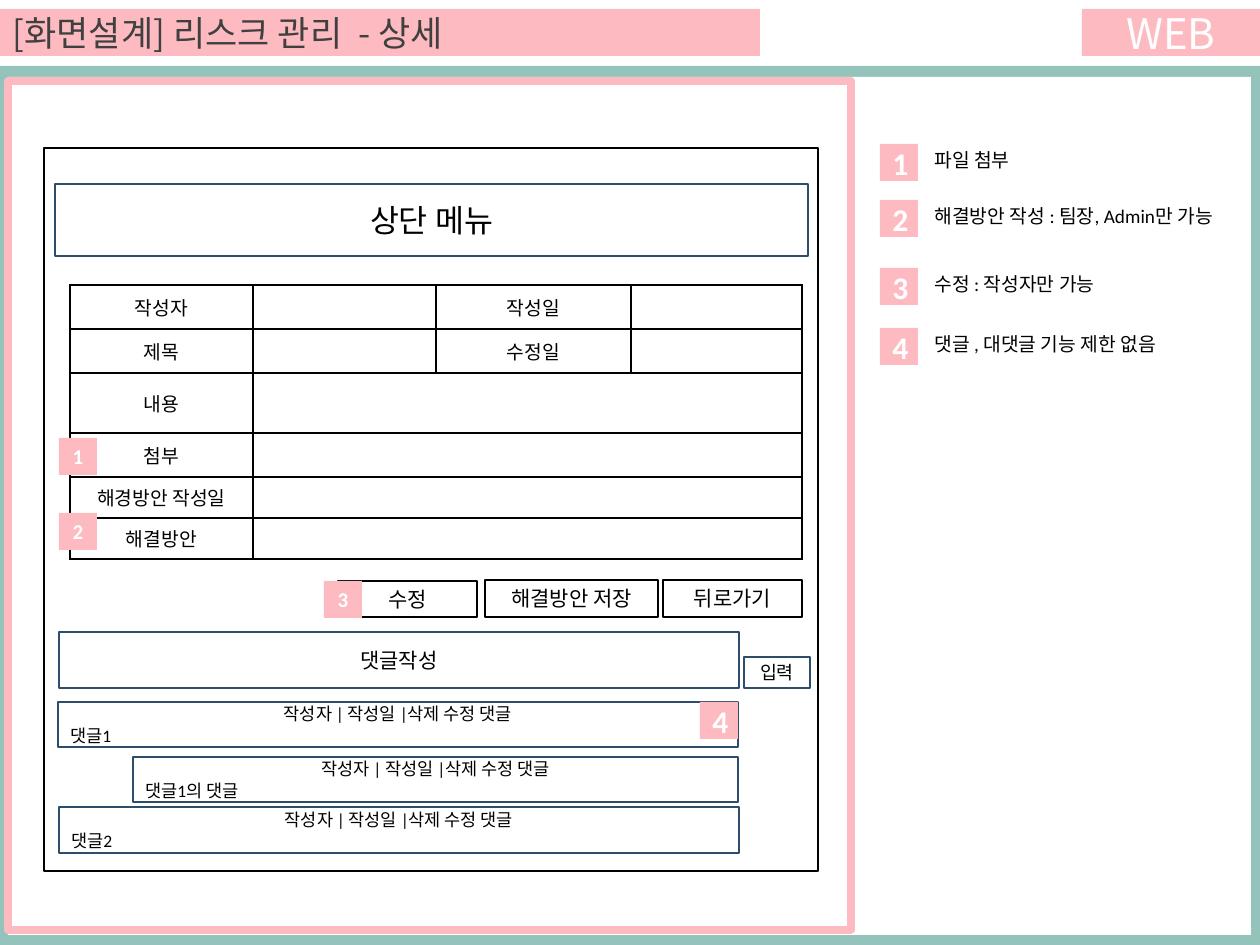
from dataclasses import dataclass
from typing import Optional

from lxml.etree import SubElement
from pptx import Presentation
from pptx.dml.color import RGBColor
from pptx.enum.shapes import MSO_SHAPE as Shape
from pptx.enum.text import MSO_ANCHOR as Anchor, MSO_AUTO_SIZE as AutoSize, PP_ALIGN as Align
from pptx.oxml.ns import qn
from pptx.util import Emu, Pt

PX = 914400 / 126
TEAL = RGBColor(0x94, 0xC3, 0xBB)
PINK = RGBColor(0xFD, 0xBB, 0xC1)
NAVY = RGBColor(0x2D, 0x4D, 0x6A)
GRAY = RGBColor(0x40, 0x40, 0x40)
BLACK = RGBColor(0, 0, 0)
WHITE = RGBColor(0xFF, 0xFF, 0xFF)
BODY_FONT = "Calibri"
HEADER_FONT = "Noto Sans CJK KR"
BADGE_WIDTH, BADGE_HEIGHT = 38, 37


@dataclass(frozen=True)
class Area:
    left: int
    top: int
    width: int
    height: int

    def emu(self) -> list[Emu]:
        return [px(n) for n in (self.left, self.top, self.width, self.height)]


@dataclass(frozen=True)
class Field:
    """A wireframe box with centred text."""
    label: str
    area: Area
    size: float
    line: RGBColor


@dataclass(frozen=True)
class Comment:
    author: str
    area: Area


@dataclass(frozen=True)
class Badge:
    number: int
    left: int
    top: int
    size: int = 12


@dataclass(frozen=True)
class Note:
    badge: Badge
    text: str
    top: int
    width: int = 314


FIELDS = [
    Field("상단 메뉴", Area(55, 184, 753, 72), 18, NAVY),
    Field("수정", Area(338, 581, 139, 36), 12, BLACK),
    Field("해결방안 저장", Area(485, 580, 173, 37), 12, BLACK),
    Field("뒤로가기", Area(663, 580, 139, 37), 12, BLACK),
    Field("댓글작성", Area(59, 632, 680, 56), 12, NAVY),
    Field("입력", Area(744, 657, 66, 31), 10.5, NAVY),
]
COMMENT_HEADER = "작성자 | 작성일 |삭제 수정 댓글"
COMMENTS = [
    Comment("댓글1", Area(58, 702, 680, 45)),
    Comment("댓글1의 댓글", Area(133, 757, 605, 45)),
    Comment("댓글2", Area(59, 807, 680, 46)),
]
BADGES = [Badge(1, 59, 438), Badge(2, 59, 513), Badge(3, 324, 581), Badge(4, 700, 702, 18)]
NOTES = [
    Note(Badge(1, 880, 144, 18), "파일 첨부", 142),
    Note(Badge(2, 880, 200, 18), "해결방안 작성 : 팀장, Admin만 가능", 198, 338),
    Note(Badge(3, 880, 268, 18), "수정 : 작성자만 가능", 266),
    Note(Badge(4, 880, 328, 18), "댓글 , 대댓글 기능 제한 없음", 326),
]
DETAIL_AREA = Area(70, 285, 732, 274)
DETAIL_COLUMNS = [183, 183, 195, 171]
DETAIL_ROW_HEIGHTS = [44, 44, 60, 44, 41, 41]
DETAIL_ROWS = [
    ("작성자", "", "작성일", ""),
    ("제목", "", "수정일", ""),
    ("내용",),
    ("첨부",),
    ("해경방안 작성일",),
    ("해결방안",),
]


def px(length: int) -> Emu:
    return Emu(round(length * PX))


def write(paragraph, text: str, *, size: float, color: RGBColor = BLACK, bold: bool = False,
          font: str = BODY_FONT, align: Align = Align.CENTER) -> None:
    paragraph.alignment = align
    run = paragraph.add_run()
    run.text = text
    run.font.name, run.font.size, run.font.bold = font, Pt(size), bold
    run.font.color.rgb = color


def add_box(slide, area: Area, fill: Optional[RGBColor] = WHITE,
            line: Optional[RGBColor] = None, line_width: float = 1):
    box = slide.shapes.add_shape(Shape.RECTANGLE, *area.emu())
    box.shadow.inherit = False
    if fill is None:
        box.fill.background()
    else:
        box.fill.solid()
        box.fill.fore_color.rgb = fill
    if line is None:
        box.line.fill.background()
    else:
        box.line.color.rgb = line
        box.line.width = Pt(line_width)
    box.text_frame.vertical_anchor = Anchor.MIDDLE
    return box


def add_badge(slide, badge: Badge) -> None:
    box = add_box(slide, Area(badge.left, badge.top, BADGE_WIDTH, BADGE_HEIGHT), PINK)
    write(box.text_frame.paragraphs[0], str(badge.number),
          size=badge.size, color=WHITE, bold=True)


def add_field(slide, field: Field) -> None:
    box = add_box(slide, field.area, line=field.line)
    write(box.text_frame.paragraphs[0], field.label, size=field.size)


def add_comment(slide, comment: Comment) -> None:
    frame = add_box(slide, comment.area, line=NAVY).text_frame
    write(frame.paragraphs[0], COMMENT_HEADER, size=10)
    write(frame.add_paragraph(), comment.author, size=10, align=Align.LEFT)


def add_note(slide, note: Note) -> None:
    add_badge(slide, note.badge)
    frame = slide.shapes.add_textbox(*Area(922, note.top, note.width, 36).emu()).text_frame
    frame.word_wrap = True
    frame.auto_size = AutoSize.SHAPE_TO_FIT_TEXT
    write(frame.paragraphs[0], note.text, size=11, align=Align.LEFT)


def format_cell(cell) -> None:
    properties = cell._tc.get_or_add_tcPr()
    for side in ("lnL", "lnR", "lnT", "lnB"):
        border = SubElement(properties, qn(f"a:{side}"), w=str(Pt(1)))
        SubElement(SubElement(border, qn("a:solidFill")), qn("a:srgbClr"), val=str(BLACK))
    cell.fill.solid()
    cell.fill.fore_color.rgb = WHITE
    cell.vertical_anchor = Anchor.MIDDLE


def add_detail_table(slide) -> None:
    table = slide.shapes.add_table(
        len(DETAIL_ROWS), len(DETAIL_COLUMNS), *DETAIL_AREA.emu()).table
    for column, width in zip(table.columns, DETAIL_COLUMNS):
        column.width = px(width)
    for index, (labels, height) in enumerate(zip(DETAIL_ROWS, DETAIL_ROW_HEIGHTS)):
        table.rows[index].height = px(height)
        for position, cell in enumerate(table.rows[index].cells):
            format_cell(cell)
            label = labels[position] if position < len(labels) else ""
            paragraph = cell.text_frame.paragraphs[0]
            if label:
                write(paragraph, label, size=11)
            else:  # keeps an empty cell from stretching its row
                SubElement(paragraph._p, qn("a:endParaRPr"), sz="1100")
        if len(labels) == 1:
            table.cell(index, 1).merge(table.cell(index, len(DETAIL_COLUMNS) - 1))


def add_header(slide) -> None:
    title = slide.shapes.title
    title.left, title.top, title.width, title.height = Area(0, 9, 760, 47).emu()
    title.fill.solid()
    title.fill.fore_color.rgb = PINK
    title.text_frame.vertical_anchor = Anchor.MIDDLE
    title.text_frame.auto_size = AutoSize.NONE
    write(title.text_frame.paragraphs[0], "[화면설계] 리스크 관리  - 상세",
          size=20, color=GRAY, font=HEADER_FONT, align=Align.LEFT)
    platform = add_box(slide, Area(1082, 9, 178, 47), PINK)
    write(platform.text_frame.paragraphs[0], "WEB", size=24, color=WHITE, font=HEADER_FONT)


def main() -> None:
    deck = Presentation()
    deck.slide_width, deck.slide_height = px(1260), px(945)
    slide = deck.slides.add_slide(deck.slide_layouts[5])
    add_header(slide)
    add_box(slide, Area(0, 66, 1260, 879), TEAL)
    add_box(slide, Area(8, 77, 1243, 858))
    add_box(slide, Area(8, 81, 843, 849), None, PINK, 4.5)
    add_box(slide, Area(44, 148, 774, 723), line=BLACK)
    add_detail_table(slide)
    for field in FIELDS:
        add_field(slide, field)
    for comment in COMMENTS:
        add_comment(slide, comment)
    for badge in BADGES:
        add_badge(slide, badge)
    for note in NOTES:
        add_note(slide, note)
    deck.save("out.pptx")


if __name__ == "__main__":
    main()
